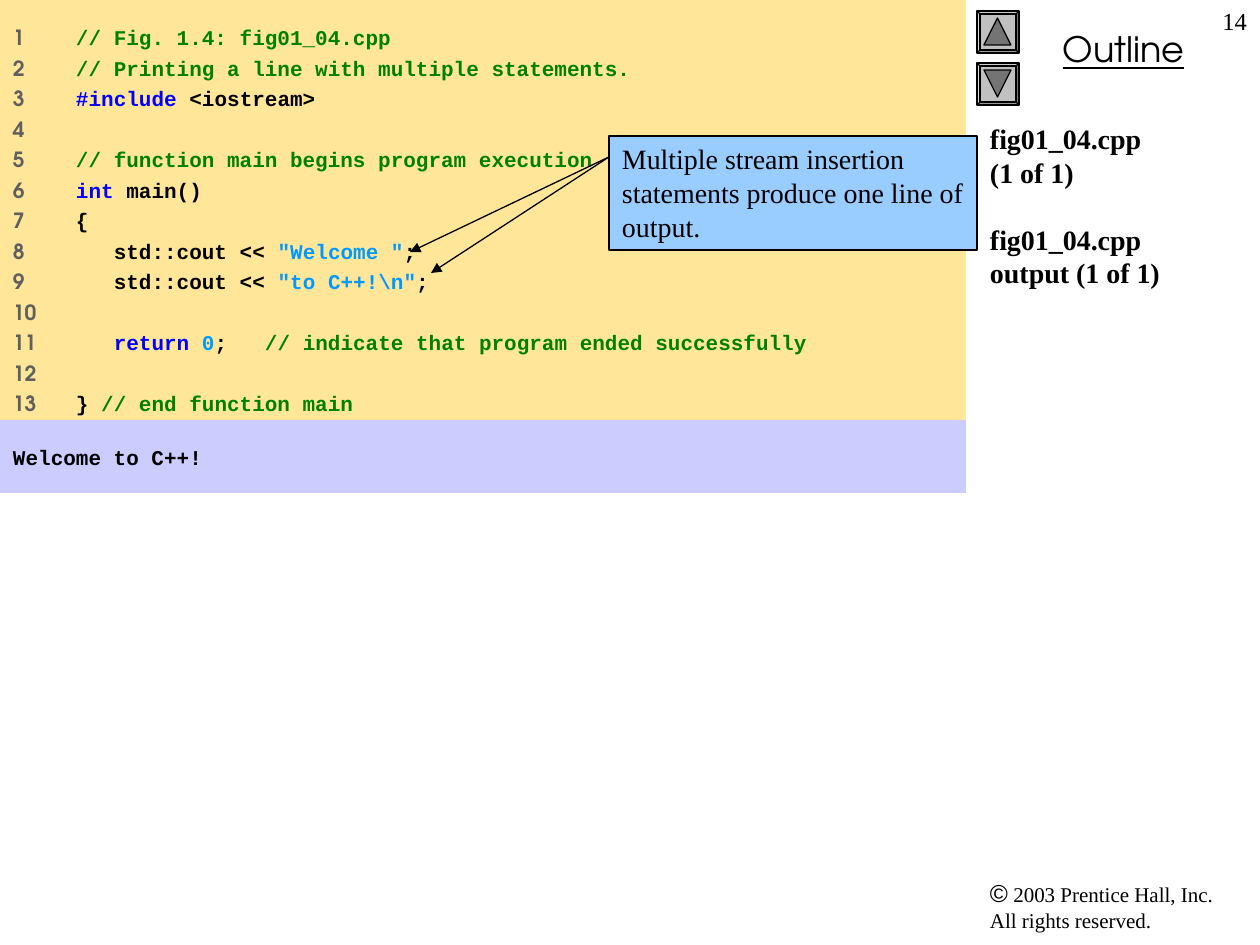
"""Builds the C++ code walkthrough slide for fig01_04.cpp."""
from lxml import etree
from pptx import Presentation
from pptx.dml.color import RGBColor
from pptx.enum.shapes import MSO_CONNECTOR, MSO_SHAPE
from pptx.enum.text import MSO_ANCHOR, MSO_AUTO_SIZE, PP_ALIGN
from pptx.oxml.ns import qn
from pptx.util import Pt

PX = 914400 / 126
RECT, BEVEL, TRIANGLE = MSO_SHAPE.RECTANGLE, MSO_SHAPE.BEVEL, MSO_SHAPE.ISOSCELES_TRIANGLE
LEFT, CENTER, RIGHT = PP_ALIGN.LEFT, PP_ALIGN.CENTER, PP_ALIGN.RIGHT
SERIF, MONO, DISPLAY = "Times New Roman", "Courier New", "TeX Gyre Adventor"
COLORS = {
    "text": "000000", "number": "5F5F5F", "comment": "008000", "keyword": "0000FF",
    "literal": "0099FF", "code_panel": "FFE699", "output_panel": "CCCCFF",
    "callout": "99CCFF", "button": "C0C0C0", "arrow": "747474",
}
CODE = [
    [("// Fig. 1.4: fig01_04.cpp", "comment")],
    [("// Printing a line with multiple statements.", "comment")],
    [("#include", "keyword"), (" <iostream>", "text")],
    [],
    [("// function main begins program execution", "comment")],
    [("int", "keyword"), (" main()", "text")],
    [("{", "text")],
    [("   std::cout << ", "text"), ('"Welcome "', "literal"), (";", "text")],
    [("   std::cout << ", "text"), ('"to C++!\\n"', "literal"), (";", "text")],
    [],
    [("   return ", "keyword"), ("0", "literal"), (";   ", "text"),
     ("// indicate that program ended successfully", "comment")],
    [],
    [("}", "text"), (" // end function main", "comment")],
]


def place(part, left, top, width, height, inset=6):
    part.left, part.top = round(left * PX), round(top * PX)
    part.width, part.height = round(width * PX), round(height * PX)
    frame = part.text_frame
    frame.word_wrap = True
    frame.auto_size = MSO_AUTO_SIZE.NONE
    frame.vertical_anchor = MSO_ANCHOR.TOP
    frame.margin_left = frame.margin_right = round(13 * PX)
    frame.margin_top = frame.margin_bottom = round(inset * PX)
    return frame


def style(paragraph, size, face=SERIF, bold=False, align=LEFT, before=0):
    paragraph.alignment = align
    paragraph.space_before = Pt(before)
    paragraph.font.size = Pt(size)
    paragraph.font.name = face
    paragraph.font.bold = bold
    paragraph.font.color.rgb = RGBColor.from_string(COLORS["text"])


deck = Presentation()
deck.slide_width, deck.slide_height = round(1260 * PX), round(945 * PX)
slide = deck.slides.add_slide(deck.slide_layouts[0])
shapes = slide.shapes

files = place(shapes.title, 977, 116, 283, 661)
files.text = "fig01_04.cpp\v(1 of 1)\nfig01_04.cpp\voutput (1 of 1)"
for paragraph, gap in zip(files.paragraphs, (0, 19)):
    style(paragraph, 16, bold=True, before=gap)

code_panel = slide.placeholders[1]
code_panel.fill.solid()
code_panel.fill.fore_color.rgb = RGBColor.from_string(COLORS["code_panel"])
listing = place(code_panel, 0, 0, 966, 431, inset=25)
for number, tokens in enumerate(CODE, 1):
    line = listing.paragraphs[0] if number == 1 else listing.add_paragraph()
    tabs = etree.SubElement(line._p.get_or_add_pPr(), qn("a:tabLst"))
    etree.SubElement(tabs, qn("a:tab"), pos=str(round(47 * PX)), algn="l")
    style(line, 12, MONO, bold=True, before=0 if number == 1 else 3)
    label = f"{number}\t" if tokens else str(number)
    for text, role in [(label, "number"), *tokens]:
        run = line.add_run()
        run.text = text
        run.font.name = DISPLAY if role == "number" else MONO
        run.font.color.rgb = RGBColor.from_string(COLORS[role])

for box, text, size, align in [
    ((977, 872, 273, 68), "© 2003 Prentice Hall, Inc.\vAll rights reserved.", 12, LEFT),
    ((987, 21, 273, 55), "Outline", 20, CENTER),
    ((1197, 0, 63, 63), "14", 14, RIGHT),
]:
    frame = place(shapes.add_textbox(0, 0, 0, 0), *box)
    frame.text = text
    paragraph = frame.paragraphs[0]
    style(paragraph, size, align=align)
    if text == "Outline":
        paragraph.font.name = DISPLAY
        paragraph.font.underline = True
    elif text.startswith("©"):
        first = paragraph.runs[0]
        first.text = "©"
        first.font.name, first.font.size = "Arial", Pt(14)
        holder = paragraph.add_run()
        holder.text = " 2003 Prentice Hall, Inc."
        first._r.addnext(holder._r)

for kind, box, fill, turn in [
    (BEVEL, (977, 11, 42, 42), "button", 0),
    (TRIANGLE, (984, 18, 27, 27), "arrow", 0),
    (BEVEL, (977, 63, 42, 42), "button", 0),
    (TRIANGLE, (984, 70, 27, 27), "arrow", 180),
    (RECT, (0, 420, 966, 73), "output_panel", 0),
    (RECT, (609, 136, 368, 114), "callout", 0),
]:
    part = shapes.add_shape(kind, 0, 0, 0, 0)
    frame = place(part, *box, inset=25 if fill == "output_panel" else 6)
    part.shadow.inherit = False
    part.rotation = turn
    part.fill.solid()
    part.fill.fore_color.rgb = RGBColor.from_string(COLORS[fill])
    part.line.color.rgb = RGBColor.from_string(COLORS["text"])
    part.line.width = Pt(0.75)
    if kind == BEVEL:
        part.adjustments[0] = 0.07
    if fill == "output_panel":
        part.line.fill.background()
        frame.text = "Welcome to C++!"
        style(frame.paragraphs[0], 12, MONO, bold=True)
    elif fill == "callout":
        frame.text = "Multiple stream insertion statements produce one line of output."
        style(frame.paragraphs[0], 16)

for end_x, end_y in [(410, 252), (431, 273)]:
    pointer = shapes.add_connector(
        MSO_CONNECTOR.STRAIGHT, *(round(n * PX) for n in (609, 157, end_x, end_y)))
    pointer.line.color.rgb = RGBColor.from_string(COLORS["text"])
    pointer.line.width = Pt(0.75)
    etree.SubElement(pointer.line._get_or_add_ln(), qn("a:tailEnd"), type="triangle")
    etree.SubElement(pointer._element.spPr, qn("a:effectLst"))

deck.save("out.pptx")
